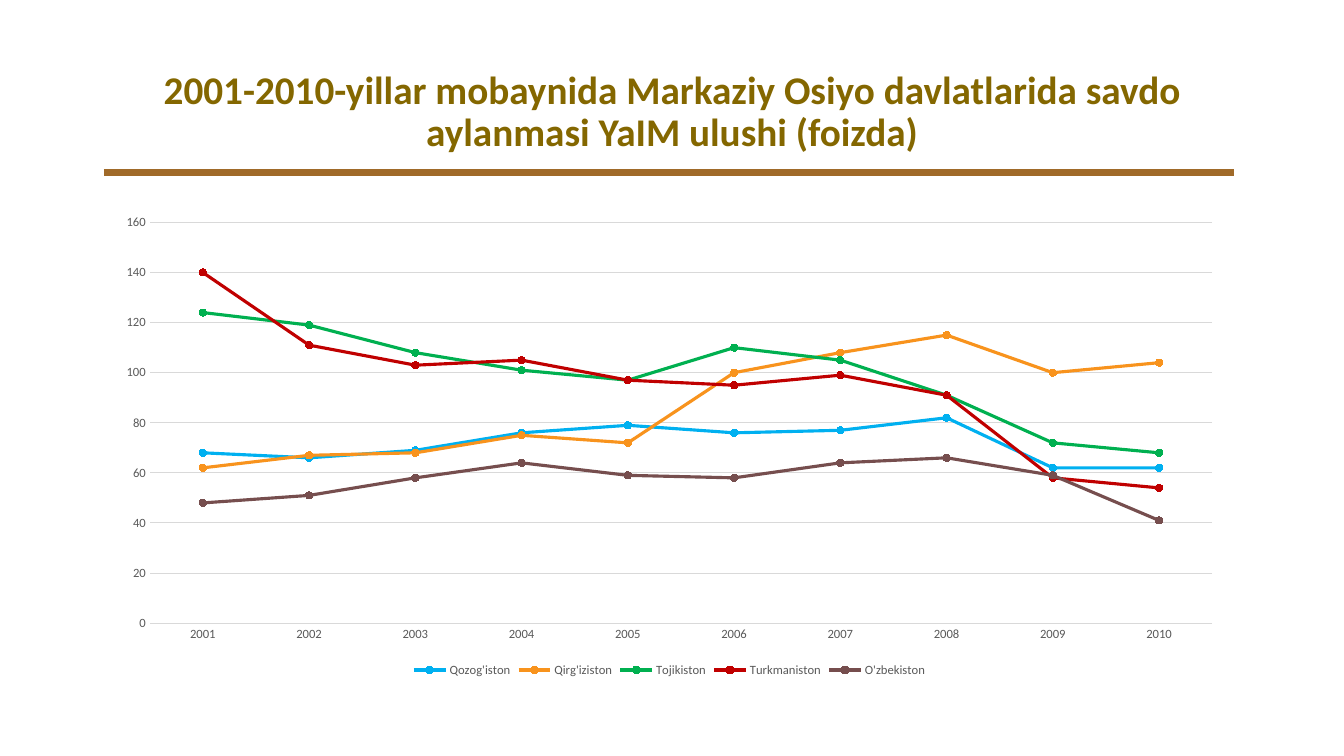
from lxml import etree
from pptx import Presentation
from pptx.chart.data import CategoryChartData
from pptx.dml.color import RGBColor
from pptx.enum.chart import XL_CHART_TYPE, XL_LEGEND_POSITION, XL_MARKER_STYLE, XL_TICK_MARK
from pptx.enum.shapes import MSO_CONNECTOR
from pptx.enum.text import MSO_ANCHOR, PP_ALIGN
from pptx.oxml.ns import qn
from pptx.util import Cm, Pt

LINE_MARKERS = XL_CHART_TYPE.LINE_MARKERS
LEGEND_BOTTOM = XL_LEGEND_POSITION.BOTTOM
CIRCLE = XL_MARKER_STYLE.CIRCLE
NO_TICKS = XL_TICK_MARK.NONE
STRAIGHT = MSO_CONNECTOR.STRAIGHT
MIDDLE = MSO_ANCHOR.MIDDLE
CENTER = PP_ALIGN.CENTER

FONT = "Calibri"
OLIVE = RGBColor(0x84, 0x67, 0x00)
BROWN = RGBColor(0xA0, 0x6A, 0x29)
BLACK = RGBColor(0x00, 0x00, 0x00)
DARK_GREY = RGBColor(0x59, 0x59, 0x59)
LIGHT_GREY = RGBColor(0xD9, 0xD9, 0xD9)
BLUE = RGBColor(0x00, 0xB0, 0xF0)
ORANGE = RGBColor(0xF8, 0x93, 0x1D)
GREEN = RGBColor(0x00, 0xB0, 0x50)
RED = RGBColor(0xC0, 0x00, 0x00)
PLUM = RGBColor(0x76, 0x4E, 0x4E)

YEARS = [str(year) for year in range(2001, 2011)]
COUNTRIES = [
    ("Qozog'iston", BLUE, (68, 66, 69, 76, 79, 76, 77, 82, 62, 62)),
    ("Qirg'iziston", ORANGE, (62, 67, 68, 75, 72, 100, 108, 115, 100, 104)),
    ("Tojikiston", GREEN, (124, 119, 108, 101, 97, 110, 105, 91, 72, 68)),
    ("Turkmaniston", RED, (140, 111, 103, 105, 97, 95, 99, 91, 58, 54)),
    ("O'zbekiston", PLUM, (48, 51, 58, 64, 59, 58, 64, 66, 59, 41)),
]


def style_font(font, size, color, bold=False):
    font.name = FONT
    font.size = Pt(size)
    font.bold = bold
    font.color.rgb = color


def add_text(slide, text, left, top, width, height, size, color, bold=False):
    box = slide.shapes.add_textbox(Cm(left), Cm(top), Cm(width), Cm(height))
    frame = box.text_frame
    frame.word_wrap = True
    frame.vertical_anchor = MIDDLE
    para = frame.paragraphs[0]
    para.alignment = CENTER
    para.line_spacing = 0.9
    span = para.add_run()
    span.text = text
    style_font(span.font, size, color, bold)


deck = Presentation()
deck.slide_width = Cm(33.87)
deck.slide_height = Cm(19.05)
page = deck.slides.add_slide(deck.slide_layouts[6])

# Title and rule
add_text(page,
         "2001-2010-yillar mobaynida Markaziy Osiyo davlatlarida savdo "
         "aylanmasi YaIM ulushi (foizda)",
         left=2.33, top=1.01, width=29.21, height=3.68,
         size=28, color=OLIVE, bold=True)

rule = page.shapes.add_connector(STRAIGHT, Cm(2.62), Cm(4.35), Cm(31.09), Cm(4.35))
rule.line.color.rgb = BROWN
rule.line.width = Pt(5)
etree.SubElement(rule.line._get_or_add_ln().getparent(), qn("a:effectLst"))

# Trade turnover chart
data = CategoryChartData()
data.categories = YEARS
for name, _, shares in COUNTRIES:
    data.add_series(name, shares)
chart = page.shapes.add_chart(
    LINE_MARKERS, Cm(2.62), Cm(5.18), Cm(28.5), Cm(11.99), data).chart
style_font(chart.font, 10, BLACK)
chart.has_title = False
chart.has_legend = True
chart.legend.position = LEGEND_BOTTOM
chart.legend.include_in_layout = False
style_font(chart.legend.font, 9, DARK_GREY)
chart.plots[0].vary_by_categories = False

for axis in (chart.category_axis, chart.value_axis):
    axis.major_tick_mark = NO_TICKS
    axis.minor_tick_mark = NO_TICKS
    style_font(axis.tick_labels.font, 9, DARK_GREY)

value_axis = chart.value_axis
value_axis.minimum_scale = 0
value_axis.maximum_scale = 160
value_axis.major_unit = 20
value_axis.has_major_gridlines = True
value_axis.format.line.fill.background()
for line in (chart.category_axis.format.line, value_axis.major_gridlines.format.line):
    line.color.rgb = LIGHT_GREY
    line.width = Pt(0.75)

for series, (_, color, _) in zip(chart.plots[0].series, COUNTRIES):
    series.smooth = False
    series.format.line.color.rgb = color
    series.format.line.width = Pt(2.25)
    marker = series.marker
    marker.style = CIRCLE
    marker.size = 5
    marker.format.fill.solid()
    marker.format.fill.fore_color.rgb = color
    marker.format.line.color.rgb = color

deck.save("out.pptx")
